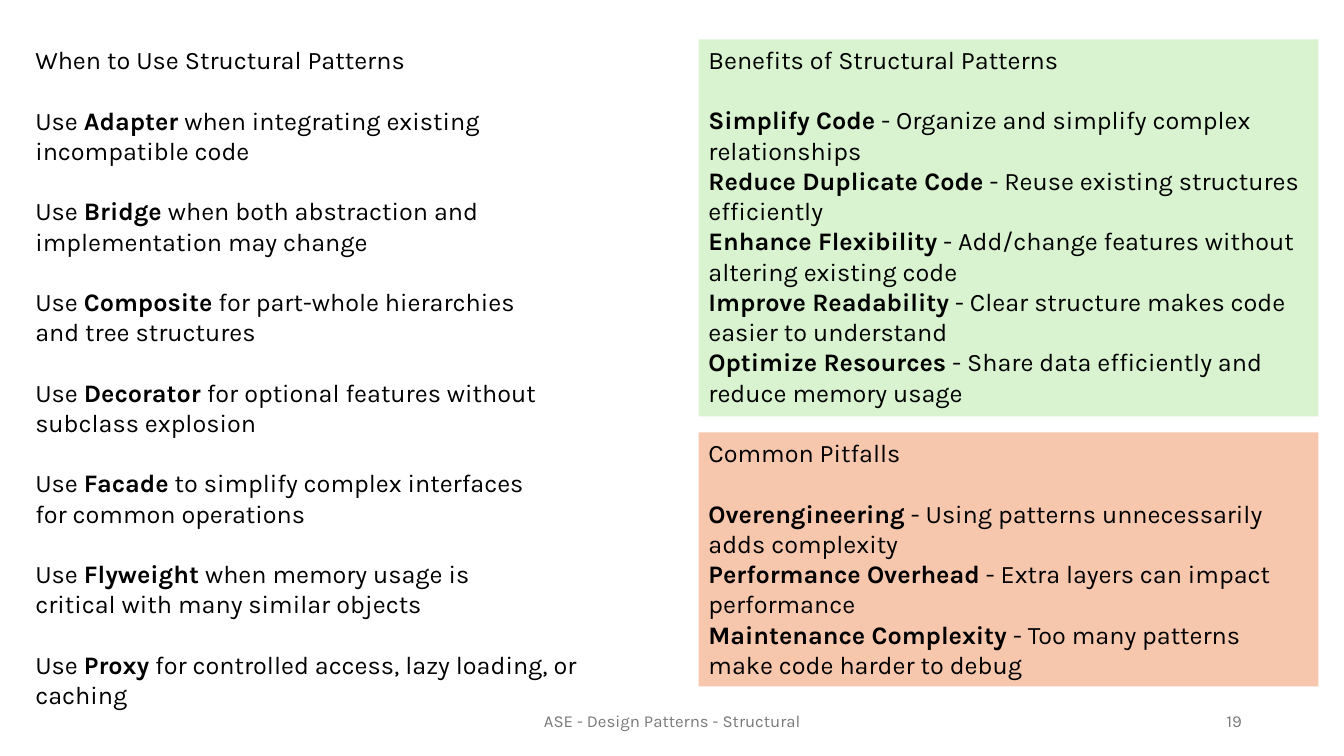
"""Build the slide on when to use structural patterns, their benefits and pitfalls."""
from dataclasses import dataclass

from lxml.etree import SubElement
from pptx import Presentation
from pptx.dml.color import RGBColor
from pptx.enum.shapes import MSO_SHAPE
from pptx.enum.text import MSO_ANCHOR as Anchor, MSO_AUTO_SIZE as AutoSize, PP_ALIGN as Align
from pptx.oxml.ns import qn
from pptx.util import Pt

FONT = "Karla"
TEXT_SIZE = 18
SMALL_SIZE = 12
LINE_GAP = 21.6
TOP = 28.08
BLACK, GREY = "000000", "797979"


@dataclass
class Point:
    term: str
    rest: str
    lead: str = ""


@dataclass
class Panel:
    top: float
    height: float
    fill: str
    heading: str
    points: list[Point]


@dataclass
class FooterText:
    left: float
    width: float
    text: str
    align: Align


USES = [
    Point("Adapter", " when integrating existing\nincompatible code", "Use "),
    Point("Bridge", " when both abstraction and\nimplementation may change", "Use "),
    Point("Composite", " for part-whole hierarchies\nand tree structures", "Use "),
    Point("Decorator", " for optional features without\nsubclass explosion", "Use "),
    Point("Facade", " to simplify complex interfaces\nfor common operations", "Use "),
    Point("Flyweight", " when memory usage is\ncritical with many similar objects", "Use "),
    Point("Proxy", " for controlled access, lazy loading, or caching", "Use "),
]
PANELS = [
    Panel(TOP, 269.28, "D9F2D0", "Benefits of Structural Patterns", [
        Point("Simplify Code", " - Organize and simplify complex relationships"),
        Point("Reduce Duplicate Code", " - Reuse existing structures efficiently"),
        Point("Enhance Flexibility", " - Add/change features without altering existing code"),
        Point("Improve Readability", " - Clear structure makes code easier to understand"),
        Point("Optimize Resources", " - Share data efficiently and reduce memory usage"),
    ]),
    Panel(308.88, 181.44, "F6C6AD", "Common Pitfalls", [
        Point("Overengineering", " - Using patterns unnecessarily adds complexity"),
        Point("Performance Overhead", " - Extra layers can impact performance"),
        Point("Maintenance Complexity", " - Too many patterns make code harder to debug"),
    ]),
]
FOOTER = [
    FooterText(318.24, 324, "ASE - Design Patterns - Structural", Align.CENTER),
    FooterText(678.24, 216, "19", Align.RIGHT),
]


def color(value: str) -> RGBColor:
    return RGBColor.from_string(value)


def place(shape, left: float, top: float, width: float, height: float) -> None:
    shape.left, shape.top, shape.width, shape.height = map(Pt, (left, top, width, height))


def format_paragraph(paragraph, size: float = TEXT_SIZE, ink: str = BLACK,
                     align: Align = Align.LEFT, gap: float = 0) -> None:
    paragraph.alignment = align
    paragraph.space_before, paragraph.space_after = Pt(0), Pt(gap)
    for run in paragraph.runs:
        run.font.name, run.font.size = FONT, Pt(size)
        run.font.color.rgb = color(ink)


def write_point(paragraph, point: Point, gap: float = 0) -> None:
    for text, bold in ((point.lead, False), (point.term, True), (point.rest, False)):
        for index, line in enumerate(text.split("\n")):
            if index:
                paragraph.add_line_break()
            if line:
                run = paragraph.add_run()
                run.text, run.font.bold = line, bold
    for line_break in paragraph._p.findall(qn("a:br")):
        SubElement(line_break, qn("a:rPr"), sz=str(TEXT_SIZE * 100))
    format_paragraph(paragraph, gap=gap)


def fill_title(title) -> None:
    place(title, 18, TOP, 454.32, 28.8)
    frame = title.text_frame
    frame.text = "When to Use Structural Patterns"
    frame.vertical_anchor, frame.auto_size = Anchor.TOP, AutoSize.NONE
    format_paragraph(frame.paragraphs[0])


def fill_uses(body) -> None:
    place(body, 18, TOP + 2 * LINE_GAP, 454.32, 422)
    frame = body.text_frame
    frame.auto_size = AutoSize.NONE
    for index, point in enumerate(USES):
        paragraph = frame.add_paragraph() if index else frame.paragraphs[0]
        write_point(paragraph, point, LINE_GAP)
        properties = paragraph._p.get_or_add_pPr()
        properties.set("marL", "0")
        properties.set("indent", "0")
        SubElement(properties, qn("a:buNone"))


def add_panel(slide, panel: Panel) -> None:
    shape = slide.shapes.add_shape(
        MSO_SHAPE.RECTANGLE, Pt(498.96), Pt(panel.top), Pt(442.8), Pt(panel.height))
    shape.shadow.inherit = False
    shape.fill.solid()
    shape.fill.fore_color.rgb = color(panel.fill)
    shape.line.fill.background()
    frame = shape.text_frame
    frame.word_wrap, frame.auto_size = True, AutoSize.SHAPE_TO_FIT_TEXT
    frame.vertical_anchor = Anchor.TOP
    frame.text = panel.heading
    format_paragraph(frame.paragraphs[0], gap=LINE_GAP)
    for point in panel.points:
        write_point(frame.add_paragraph(), point)


def add_footer(slide, footer: FooterText) -> None:
    box = slide.shapes.add_textbox(Pt(footer.left), Pt(500.4), Pt(footer.width), Pt(28.8))
    frame = box.text_frame
    frame.word_wrap, frame.vertical_anchor = True, Anchor.MIDDLE
    frame.text = footer.text
    format_paragraph(frame.paragraphs[0], SMALL_SIZE, GREY, footer.align)


def main() -> None:
    presentation = Presentation()
    presentation.slide_width, presentation.slide_height = Pt(960), Pt(540)
    slide = presentation.slides.add_slide(presentation.slide_layouts[1])
    fill_title(slide.shapes.title)
    fill_uses(slide.placeholders[1])
    for panel in PANELS:
        add_panel(slide, panel)
    for footer in FOOTER:
        add_footer(slide, footer)
    presentation.save("out.pptx")


if __name__ == "__main__":
    main()
